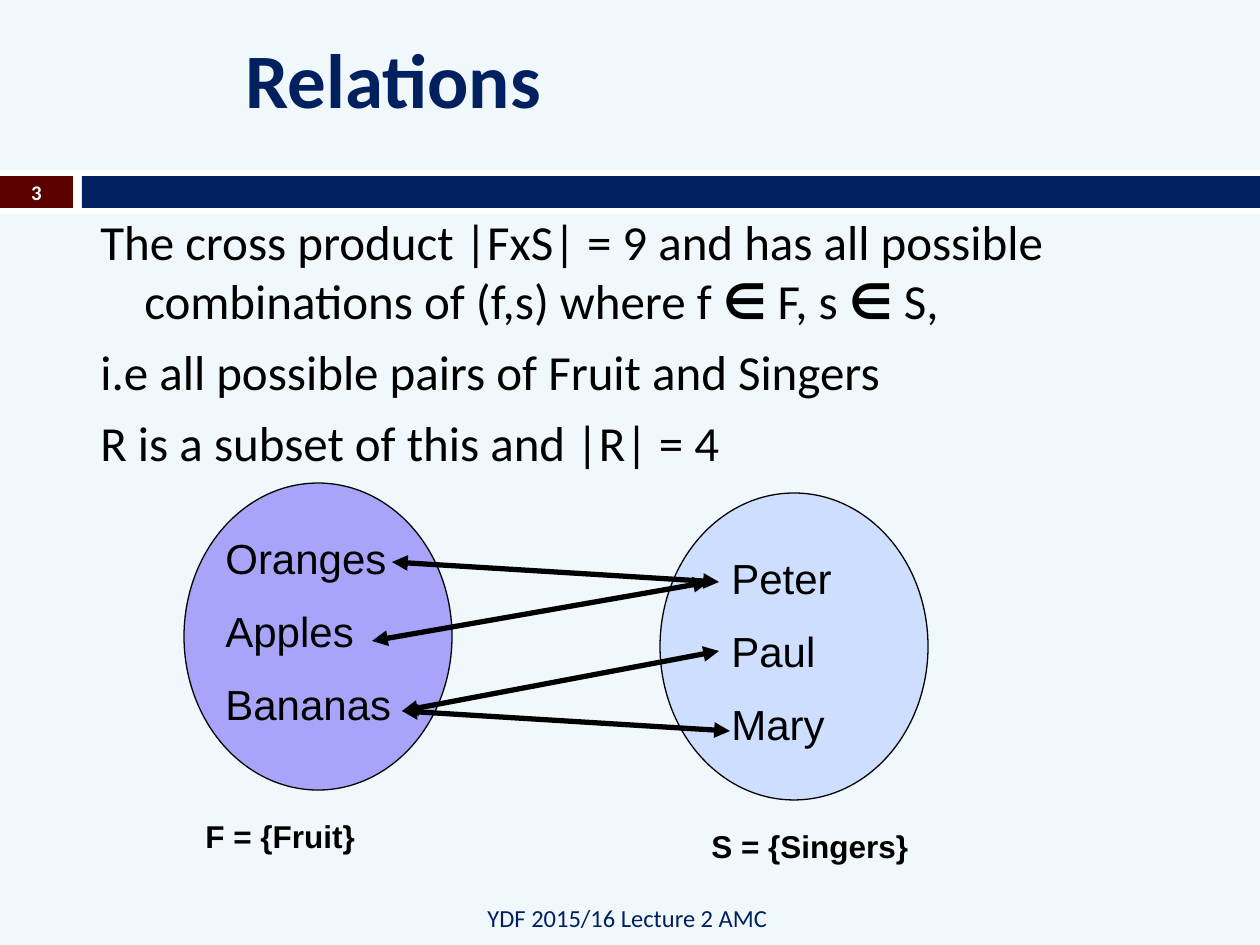
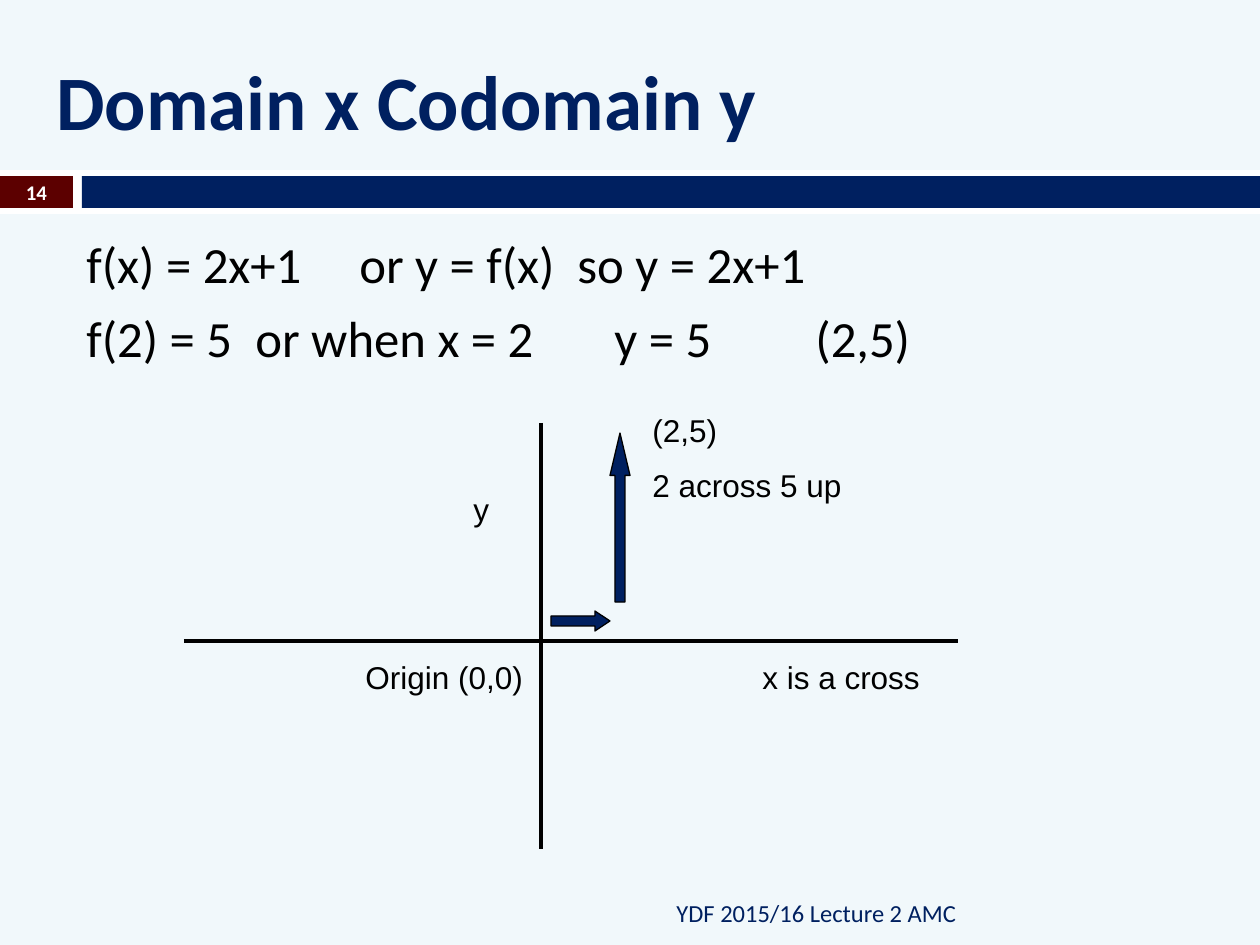
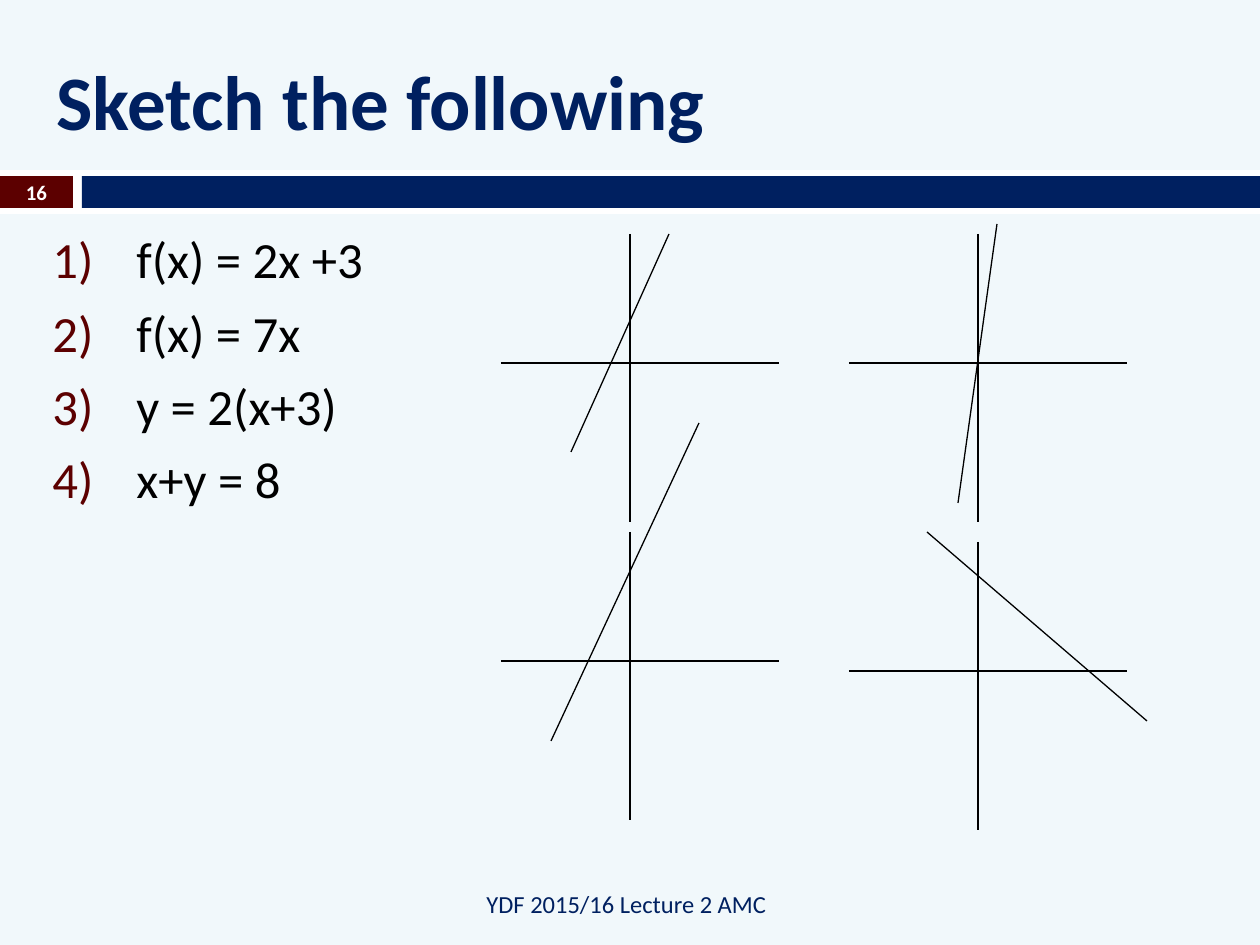
from lxml import etree
from pptx import Presentation
from pptx import util as u
from pptx.dml.color import RGBColor
from pptx.enum import shapes, text
from pptx.oxml.ns import qn

PX = 914400 / 126
COLORS = {
    "page": "F1F8FB",
    "white": "FFFFFF",
    "maroon": "5C0000",
    "navy": "002060",
    "black": "000000",
    "fruit": "A8A4FA",
    "singers": "CDDEFF",
}
FOOTER = "YDF 2015/16 Lecture 2 AMC"


def px(*lengths):
    return [u.Emu(round(length * PX)) for length in lengths]


def rgb(name):
    return RGBColor.from_string(COLORS[name])


def write(frame, paragraphs, size=18, font="Arial", color="black", bold=False,
          align=text.PP_ALIGN.LEFT, anchor=text.MSO_ANCHOR.TOP, before=0,
          hang=0, number_color=None, tabs=()):
    frame.word_wrap = True
    frame.vertical_anchor = anchor
    for index, content in enumerate(paragraphs):
        paragraph = frame.paragraphs[0] if index == 0 else frame.add_paragraph()
        paragraph.alignment = align
        paragraph.space_before = u.Pt(before if index else 0)
        properties = paragraph._p.get_or_add_pPr()
        if hang:
            margin = px(hang)[0]
            properties.set("marL", str(margin))
            properties.set("indent", str(-margin))
        if number_color:
            tint = etree.SubElement(properties, qn("a:buClr"))
            etree.SubElement(tint, qn("a:srgbClr"), val=COLORS[number_color])
            etree.SubElement(properties, qn("a:buAutoNum"), type="arabicParenR")
        if tabs:
            stops = etree.SubElement(properties, qn("a:tabLst"))
            for stop in tabs[index]:
                etree.SubElement(stops, qn("a:tab"), pos=str(px(stop)[0]), algn="l")
        pieces = [(content, bold)] if isinstance(content, str) else content
        for words, heavy in pieces:
            run = paragraph.add_run()
            run.text = words
            run.font.size = u.Pt(size)
            run.font.name = font
            run.font.bold = heavy
            run.font.color.rgb = rgb(color)


class Lecture:
    def __init__(self):
        self.deck = Presentation()
        self.deck.slide_width, self.deck.slide_height = px(1260, 945)
        self.slide = None

    def new_slide(self, title, number, footer_at, title_at=(44, 32, 1181, 136)):
        self.slide = self.deck.slides.add_slide(self.deck.slide_layouts[6])
        fill = self.slide.background.fill
        fill.solid()
        fill.fore_color.rgb = rgb("page")
        self.shape((0, 170, 1260, 44), "white")
        self.shape((0, 176, 73, 32), "maroon")
        self.shape((82, 176, 1178, 32), "navy")
        middle = text.MSO_ANCHOR.MIDDLE
        center = text.PP_ALIGN.CENTER
        self.text(title_at, title, size=44, font="Calibri", color="navy",
                  bold=True, anchor=middle)
        self.text(footer_at, FOOTER, size=14, font="Calibri", color="navy",
                  align=center, anchor=middle)
        self.text((0, 175, 73, 34), str(number), size=11.9, font="Calibri",
                  color="white", bold=True, align=center, anchor=middle)

    def text(self, at, *paragraphs, **style):
        box = self.slide.shapes.add_textbox(*px(*at))
        write(box.text_frame, paragraphs, **style)

    def body(self, at, *paragraphs, size=29, **style):
        self.text(at, *paragraphs, size=size, font="Calibri", before=7, **style)

    def shape(self, at, fill, kind=shapes.MSO_SHAPE.RECTANGLE, outlined=False,
              adjustments=()):
        figure = self.slide.shapes.add_shape(kind, *px(*at))
        figure.shadow.inherit = False
        figure.fill.solid()
        figure.fill.fore_color.rgb = rgb(fill)
        if outlined:
            figure.line.color.rgb = rgb("black")
            figure.line.width = u.Pt(0.75)
        else:
            figure.line.fill.background()
        for index, value in enumerate(adjustments):
            figure.adjustments[index] = value

    def line(self, start, end, width=0.75, arrows=False):
        stroke = self.slide.shapes.add_connector(
            shapes.MSO_CONNECTOR.STRAIGHT, *px(*start, *end))
        stroke.line.color.rgb = rgb("black")
        stroke.line.width = u.Pt(width)
        if arrows:
            outline = stroke.line._get_or_add_ln()
            for tip in ("a:headEnd", "a:tailEnd"):
                etree.SubElement(outline, qn(tip), type="triangle")
        etree.SubElement(stroke._element.spPr, qn("a:effectLst"))

    def axes(self, x, top):
        y = top + 129
        self.line((x, top), (x, top + 288))
        self.line((x - 129, y), (x + 149, y))


def relations(lecture):
    lecture.new_slide("Relations", 3, (428, 890, 399, 55), (233, 20, 338, 115))
    lecture.body(
        (88, 205, 1172, 640),
        [("The cross product |FxS| = 9 and has all possible combinations of (f,s) where f ", False),
         ("∈ ", True), ("F, s ", False), ("∈ ", True), ("S,", False)],
        "i.e all possible pairs of Fruit and Singers",
        "R is a subset of this and |R| = 4",
        size=28, hang=44)
    oval = shapes.MSO_SHAPE.OVAL
    lecture.shape((184, 483, 268, 307), "fruit", oval, outlined=True)
    lecture.shape((660, 493, 268, 307), "singers", oval, outlined=True)
    lecture.text((213, 526, 238, 214), "Oranges", "Apples", "Bananas",
                 size=24, before=13)
    lecture.text((719, 546, 238, 214), "Peter", "Paul", "Mary",
                 size=24, before=13)
    pairs = [
        ((392, 562), (719, 582)),
        ((372, 641), (709, 582)),
        ((402, 711), (719, 651)),
        ((402, 711), (730, 731)),
    ]
    for fruit, singer in pairs:
        lecture.line(fruit, singer, width=3, arrows=True)
    lecture.text((193, 811, 198, 50), "F = {Fruit}", bold=True)
    lecture.text((699, 821, 238, 50), "S = {Singers}", bold=True)


def domain(lecture):
    lecture.new_slide("Domain x Codomain y", 14, (617, 880, 399, 65))
    lecture.body(
        (74, 227, 1134, 624),
        "f(x) = 2x+1\tor y = f(x)\tso y = 2x+1",
        "f(2) = 5\tor when x = 2\ty = 5\t(2,5)",
        tabs=((273, 491), (169, 528, 729)))
    lecture.line((541, 423), (541, 849), width=2.25)
    lecture.line((184, 641), (958, 641), width=2.25)
    lecture.text((750, 652, 238, 50), "x is a cross")
    lecture.text((461, 484, 49, 50), "y")
    lecture.text((640, 405, 268, 107), "(2,5)", "2 across 5 up", before=10)
    lecture.text((353, 652, 248, 50), "Origin (0,0)")
    lecture.shape((551, 611, 59, 20), "navy", shapes.MSO_SHAPE.RIGHT_ARROW,
                  outlined=True, adjustments=(0.5, 0.75))
    lecture.shape((610, 433, 20, 169), "navy", shapes.MSO_SHAPE.UP_ARROW,
                  outlined=True, adjustments=(0.5, 2.12))


def sketches(lecture):
    lecture.new_slide("Sketch the following", 16, (427, 880, 399, 47))
    lecture.body(
        (40, 222, 1186, 620),
        "f(x) = 2x +3", "f(x) = 7x", "y = 2(x+3)", "x+y = 8",
        hang=84, number_color="maroon")
    graphs = [
        ((630, 234), (669, 234), (571, 452)),
        ((978, 234), (997, 224), (958, 503)),
        ((630, 532), (699, 423), (551, 741)),
        ((978, 542), (927, 532), (1147, 721)),
    ]
    for axis_top, start, end in graphs:
        lecture.axes(*axis_top)
        lecture.line(start, end)


def main():
    lecture = Lecture()
    relations(lecture)
    domain(lecture)
    sketches(lecture)
    lecture.deck.save("out.pptx")


if __name__ == "__main__":
    main()
